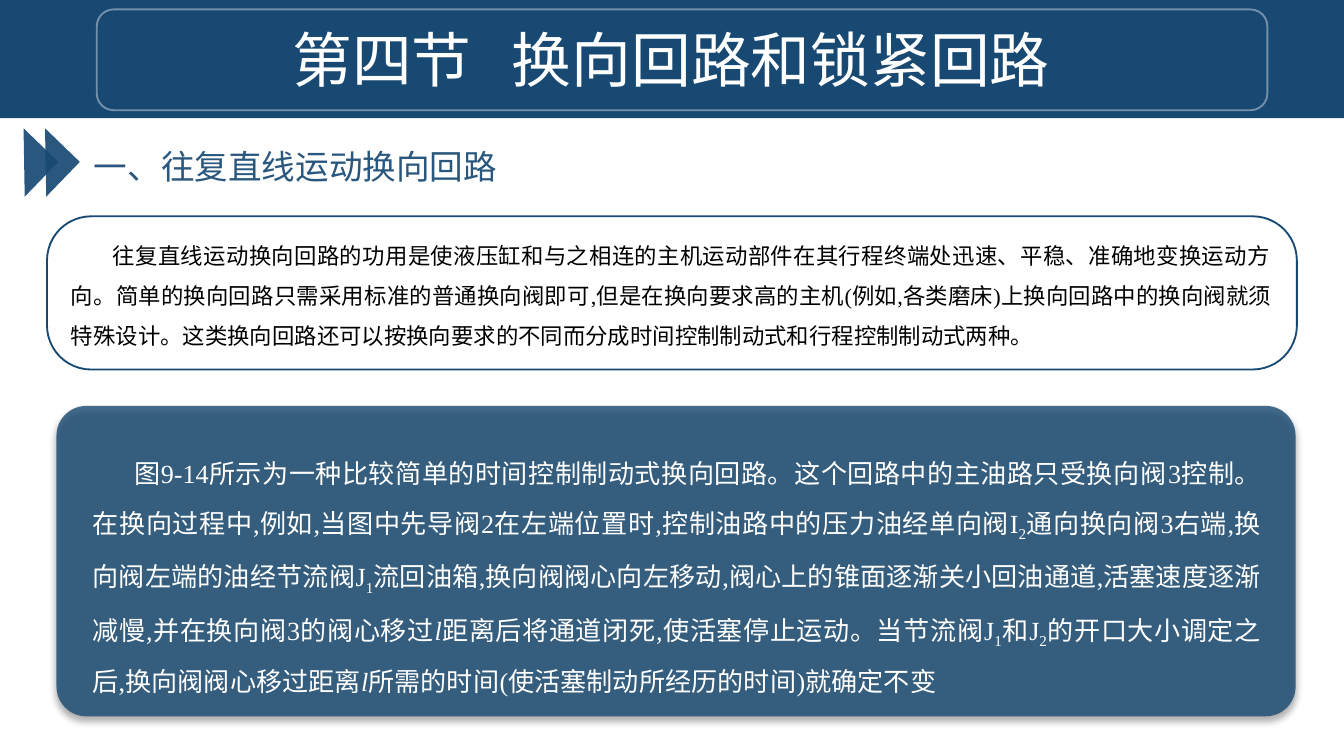
from lxml import etree
from pptx import Presentation
from pptx.dml.color import RGBColor
from pptx.enum import shapes, text
from pptx.oxml.ns import qn
from pptx.util import Inches, Pt

NAVY = RGBColor(0x18, 0x49, 0x72)
STEEL = RGBColor(0x2A, 0x57, 0x7D)
WHITE = RGBColor(0xFF, 0xFF, 0xFF)
BLACK = RGBColor(0, 0, 0)
SANS = "Noto Sans CJK SC"
SERIF = "Times New Roman"
SHAPE = shapes.MSO_SHAPE
ALIGN = text.PP_ALIGN

TITLE = "第四节   换向回路和锁紧回路"
HEADING = "一、往复直线运动换向回路"
INTRO = [
    ("往复直线运动换向回路的功用是使液压缸和与之相连的主机运动部件在其行程终端处迅速、平稳、"
     "准确地变换运动方向。简单的换向回路只需采用标准的普通换向阀即可,但是在换向要求高的主机"
     "(例如,各类磨床)上换向回路中的换向阀就须特殊设计。这类换向回路还可以按换向要求的不同"
     "而分成时间控制制动式和行程控制制动式两种。", ""),
]
DETAIL = [
    ("图9-14所示为一种比较简单的时间控制制动式换向回路。这个回路中的主油路只受换向阀3控制。"
     "在换向过程中,例如,当图中先导阀2在左端位置时,控制油路中的压力油经单向阀I", ""),
    ("2", "sub"),
    ("通向换向阀3右端,换向阀左端的油经节流阀J", ""),
    ("1", "sub"),
    ("流回油箱,换向阀阀心向左移动,阀心上的锥面逐渐关小回油通道,活塞速度逐渐减慢,"
     "并在换向阀3的阀心移过", ""),
    ("l", "italic"),
    ("距离后将通道闭死,使活塞停止运动。当节流阀J", ""),
    ("1", "sub"),
    ("和J", ""),
    ("2", "sub"),
    ("的开口大小调定之后,换向阀阀心移过距离", ""),
    ("l", "italic"),
    ("所需的时间(使活塞制动所经历的时间)就确定不变", ""),
]


def add_box(s, kind, box, fill=None, line=None, alpha=100, adj=None):
    sp = s.shapes.add_shape(kind, *map(Inches, box))
    sp.shadow.inherit = False
    if fill is None:
        sp.fill.background()
    else:
        sp.fill.solid()
        sp.fill.fore_color.rgb = fill
    if line is None:
        sp.line.fill.background()
    else:
        sp.line.color.rgb = line
        sp.line.width = Pt(1)
    if adj is not None:
        sp.adjustments[0] = adj
    if alpha < 100:
        for clr in sp._element.spPr.iter(qn("a:srgbClr")):
            etree.SubElement(clr, qn("a:alpha"), val=str(alpha * 1000))
    return sp


def add_drop_shadow(sp):
    effects = sp._element.spPr.find(qn("a:effectLst"))
    shadow = etree.SubElement(effects, qn("a:outerShdw"), blurRad=str(Pt(4)),
                              dist=str(Pt(3)), dir="5400000", rotWithShape="0")
    clr = etree.SubElement(shadow, qn("a:srgbClr"), val="000000")
    etree.SubElement(clr, qn("a:alpha"), val="40000")


def write(sp, runs, font, size, color, wrap=True, indent=0, **para):
    tf = sp.text_frame
    frame = {"word_wrap": wrap, "vertical_anchor": text.MSO_ANCHOR.TOP,
             "auto_size": text.MSO_AUTO_SIZE.SHAPE_TO_FIT_TEXT}
    for name, value in frame.items():
        setattr(tf, name, value)
    p = tf.paragraphs[0]
    for name, value in para.items():
        setattr(p, name, value)
    if indent:
        p._p.get_or_add_pPr().set("indent", str(Inches(indent)))
    for content, style in runs:
        r = p.add_run()
        r.text = content
        r.font.color.rgb = color
        for name, value in {"name": font, "size": Pt(size)}.items():
            setattr(r.font, name, value)
        rPr = r._r.get_or_add_rPr()
        etree.SubElement(rPr, qn("a:ea"), typeface=SANS)
        if style == "italic":
            r.font.italic = True
        elif style == "sub":
            rPr.set("baseline", "-25000")


def add_text(s, box, runs, font, size, color, **fmt):
    sp = s.shapes.add_textbox(*map(Inches, box))
    write(sp, runs, font, size, color, **fmt)


def add_banner(s, l, t, w, h):
    add_box(s, SHAPE.RECTANGLE, (l, t, w, h), fill=NAVY)
    add_box(s, SHAPE.ROUNDED_RECTANGLE, (l + 0.72, t + 0.07, w - 1.29, h - 0.13),
            line=WHITE, alpha=40)
    sp = s.shapes.title
    sp._element.getparent().append(sp._element)
    place = {"left": l + 0.82, "top": t + 0.12, "width": w - 1.65, "height": h - 0.24}
    for name, value in place.items():
        setattr(sp, name, Inches(value))
    write(sp, [(TITLE, "")], SANS, 32, WHITE, alignment=ALIGN.CENTER)


def add_heading(s, l, t, w, h):
    for i in range(2):
        sp = add_box(s, SHAPE.RIGHT_TRIANGLE, (l + 0.16 * i, t, 0.36, 0.36),
                     fill=NAVY, alpha=92)
        sp.rotation = 44
        for flip in ("flipH", "flipV"):
            sp._element.spPr.xfrm.set(flip, "1")
    add_text(s, (l + 0.6, t + 0.01, w - 0.6, h - 0.01), [(HEADING, "")],
             SERIF, 18, STEEL, wrap=False)


def add_intro(s, l, t, w, h):
    add_text(s, (l + 0.08, t + 0.04, w - 0.17, h - 0.13), INTRO, SERIF, 12, BLACK,
             indent=0.31, alignment=ALIGN.JUSTIFY, line_spacing=1.5)
    add_box(s, SHAPE.ROUNDED_RECTANGLE, (l, t, w, h), line=NAVY, adj=0.288)


def add_detail(s, l, t, w, h):
    sp = add_box(s, SHAPE.ROUNDED_RECTANGLE, (l, t, w, h), fill=NAVY, alpha=80, adj=0.096)
    add_drop_shadow(sp)
    add_text(s, (l + 0.17, t + 0.22, w - 0.33, h - 0.44), DETAIL, SERIF, 14, WHITE,
             indent=0.31, alignment=ALIGN.JUSTIFY, line_spacing=1.5)


def main():
    prs = Presentation()
    prs.slide_width = Inches(10)
    prs.slide_height = prs.slide_width * 9 // 16
    s = prs.slides.add_slide(prs.slide_layouts[5])
    add_banner(s, 0, 0, 10, 0.88)
    add_heading(s, 0, 1.03, 3.83, 0.41)
    add_intro(s, 0.35, 1.61, 9.3, 1.14)
    add_detail(s, 0.42, 3.02, 9.22, 2.31)
    prs.save("out.pptx")


if __name__ == "__main__":
    main()
